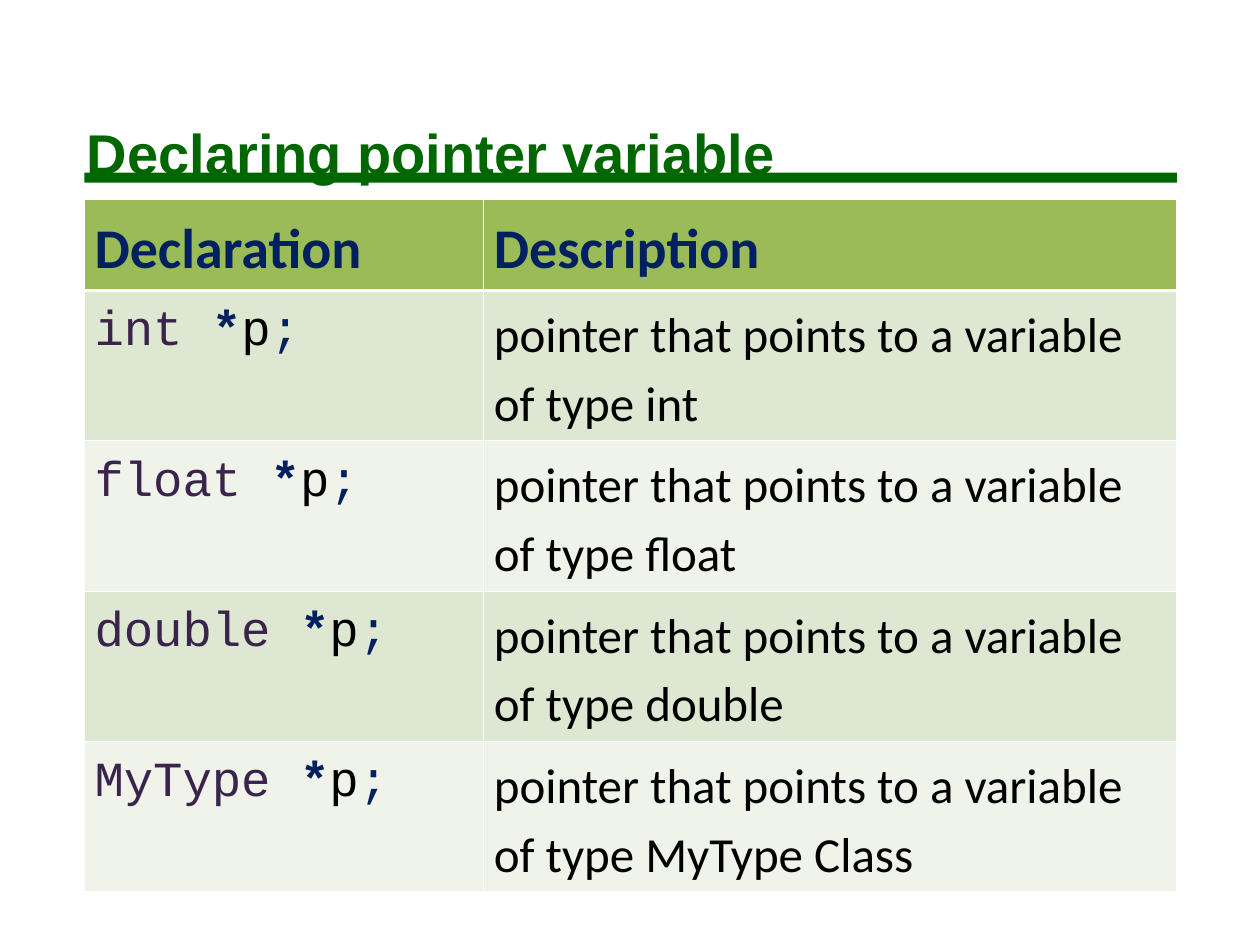
from dataclasses import dataclass

from lxml import etree
from pptx import Presentation
from pptx import util as u
from pptx.dml.color import RGBColor
from pptx.enum import shapes, text
from pptx.oxml import ns

GREEN = RGBColor(0x00, 0x66, 0x00)
NAVY = RGBColor(0x00, 0x20, 0x60)
PURPLE = RGBColor(0x3B, 0x24, 0x4C)
BLACK = RGBColor(0x00, 0x00, 0x00)
WHITE = RGBColor(0xFF, 0xFF, 0xFF)
HEADER_FILL = RGBColor(0x9B, 0xBB, 0x59)
BAND_FILLS = (RGBColor(0xDE, 0xE7, 0xD1), RGBColor(0xEF, 0xF3, 0xEA))

LEFT, WIDTH = u.Inches(0.67), u.Inches(8.67)
COLUMN_WIDTHS = (u.Inches(3.17), u.Inches(5.5))
HEADER_HEIGHT, ROW_HEIGHT = u.Inches(0.61), u.Inches(1.07)
THIN, THICK = u.Pt(0.45), u.Pt(1.47)


@dataclass(frozen=True)
class Run:
    words: str
    color: RGBColor
    font: str = "Calibri"
    size: int = 28
    bold: bool = False


@dataclass(frozen=True)
class Declaration:
    type_name: str
    description: str

    def code(self) -> list[Run]:
        return [
            Run(f"{self.type_name} ", PURPLE, "Courier New"),
            Run("*", NAVY, "Courier New", bold=True),
            Run("p", BLACK, "Courier New"),
            Run(";", NAVY, "Courier New"),
        ]

    def meaning(self) -> list[Run]:
        return [Run(f"pointer that points to a variable of type {self.description}", BLACK)]


DECLARATIONS = (
    Declaration("int", "int"),
    Declaration("float", "float"),
    Declaration("double", "double"),
    Declaration("MyType", "MyType Class"),
)


def set_all(target, values: dict) -> None:
    for name, value in values.items():
        setattr(target, name, value)


def write(p, runs: list[Run]) -> None:
    p.alignment = text.PP_ALIGN.LEFT
    for run in runs:
        r = p.add_run()
        r.text = run.words
        set_all(r.font, {"name": run.font, "size": u.Pt(run.size), "bold": run.bold})
        r.font.color.rgb = run.color


def add_borders(cell, top: int, bottom: int) -> None:
    tc_pr = cell._tc.get_or_add_tcPr()
    for side, width in {"L": THIN, "R": THIN, "T": top, "B": bottom}.items():
        ln = etree.SubElement(tc_pr, ns.qn(f"a:ln{side}"), w=str(int(width)))
        fill = etree.SubElement(ln, ns.qn("a:solidFill"))
        etree.SubElement(fill, ns.qn("a:srgbClr"), val=str(WHITE))


def add_title(s) -> None:
    sp = s.shapes.title
    set_all(sp, {"left": u.Inches(0.58), "top": u.Inches(0.58),
                 "width": u.Inches(9.08), "height": u.Inches(1.25)})
    tf = sp.text_frame
    set_all(tf, {"margin_left": u.Inches(0.11), "margin_right": u.Inches(0.11),
                 "margin_top": u.Inches(0.06), "margin_bottom": u.Inches(0.06),
                 "vertical_anchor": text.MSO_ANCHOR.MIDDLE, "word_wrap": True,
                 "auto_size": text.MSO_AUTO_SIZE.NONE})
    write(tf.paragraphs[0], [Run("Declaring pointer variable", GREEN, "Arial", 32, True)])


def add_rule(s) -> None:
    bar = s.shapes.add_shape(shapes.MSO_SHAPE.RECTANGLE, LEFT, u.Inches(1.37), WIDTH, u.Inches(0.08))
    bar.shadow.inherit = False
    bar.fill.solid()
    bar.fill.fore_color.rgb = GREEN
    bar.line.fill.background()
    s.shapes.title.element.addprevious(bar.element)


def add_declarations(s) -> None:
    header = [[Run(name, NAVY, size=32, bold=True)] for name in ("Declaration", "Description")]
    rows = [header] + [[d.code(), d.meaning()] for d in DECLARATIONS]
    height = HEADER_HEIGHT + len(DECLARATIONS) * ROW_HEIGHT
    table = s.shapes.add_table(len(rows), len(header), LEFT, u.Inches(1.58), WIDTH, height).table
    for column, width in zip(table.columns, COLUMN_WIDTHS):
        column.width = width
    for i, row in enumerate(rows):
        table.rows[i].height = ROW_HEIGHT if i else HEADER_HEIGHT
        for j, runs in enumerate(row):
            cell = table.cell(i, j)
            set_all(cell, {"margin_left": u.Inches(0.08), "margin_right": u.Inches(0.08),
                           "margin_top": u.Inches(0.05), "margin_bottom": u.Inches(0.05)})
            add_borders(cell, THICK if i == 1 else THIN, THICK if i == 0 else THIN)
            cell.fill.solid()
            cell.fill.fore_color.rgb = BAND_FILLS[(i - 1) % 2] if i else HEADER_FILL
            p = cell.text_frame.paragraphs[0]
            p.line_spacing = 1.15
            write(p, runs)


def main() -> None:
    prs = Presentation()
    set_all(prs, {"slide_width": u.Inches(10), "slide_height": u.Inches(7.5)})
    s = prs.slides.add_slide(prs.slide_layouts[5])
    add_title(s)
    add_rule(s)
    add_declarations(s)
    prs.save("out.pptx")


if __name__ == "__main__":
    main()
